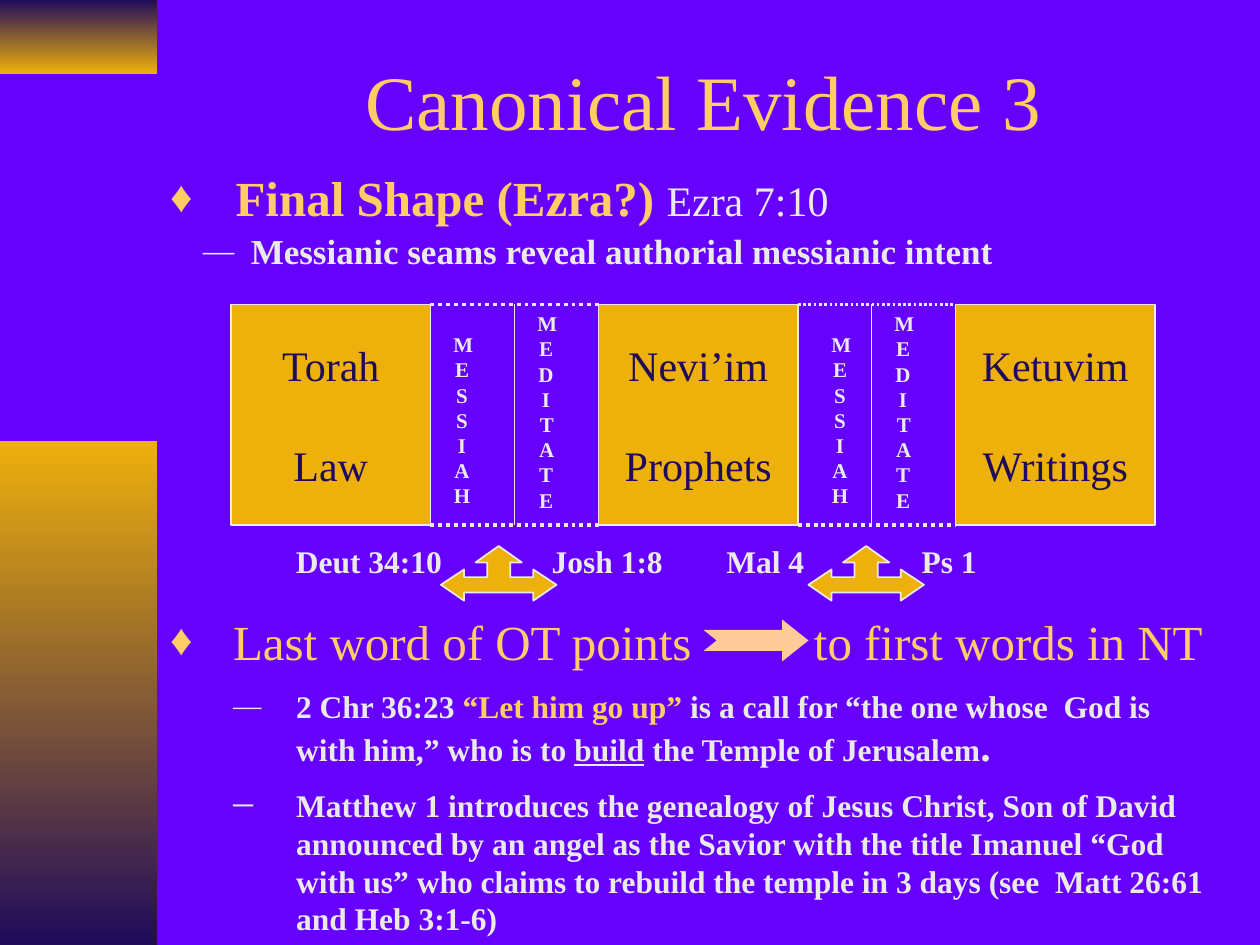
import pptx
import pptx.util
import pptx.dml.color
import pptx.enum.dml
import pptx.enum.shapes
import pptx.enum.text
import pptx.oxml
import pptx.oxml.ns

COLORS = {"back": "6600FF", "gold": "EEB00B", "navy": "200B5B",
          "light": "EAEAEA", "yellow": "FFCC66", "peach": "FFCC99"}
FONT = "Times New Roman"
CELL = 1 / 12  # grid of 120 columns by 90 rows
ALIGN = pptx.enum.text.PP_ALIGN
ANCHOR = pptx.enum.text.MSO_ANCHOR
SHAPE = pptx.enum.shapes.MSO_SHAPE
DASH = pptx.enum.dml.MSO_LINE.ROUND_DOT


def grid(*cells):
    return [pptx.util.Inches(c * CELL) for c in cells]


def rgb(name):
    return pptx.dml.color.RGBColor.from_string(COLORS[name])


def add_xml(parent, tag, **attrs):
    el = pptx.oxml.parse_xml(f"<a:{tag} {pptx.oxml.ns.nsdecls('a')}/>")
    for key, value in attrs.items():
        el.set(key, str(value))
    parent.append(el)
    return el


def add_runs(p, text, size=18, color="light", bold=False, underline=False):
    r = p.add_run()
    r.text = text
    r.font.name, r.font.size = FONT, pptx.util.Pt(size)
    r.font.bold, r.font.underline = bold, underline
    r.font.color.rgb = rgb(color)


def format_paragraph(p, align=ALIGN.LEFT, before=0, spacing=1.0, level=0,
                     bullet=None, bullet_color="light", margin=0, tab=None):
    """Lengths of margin and tab are in inches; a bullet hangs by bullet[1]."""
    p.alignment, p.level, p.line_spacing = align, level, spacing
    p.space_before = pptx.util.Pt(before)
    pPr = p._p.get_or_add_pPr()
    if bullet:
        char, hang = bullet
        pPr.set("marL", str(pptx.util.Inches(margin)))
        pPr.set("indent", str(-pptx.util.Inches(hang)))
        add_xml(add_xml(pPr, "buClr"), "srgbClr", val=COLORS[bullet_color])
        add_xml(pPr, "buSzPct", val=90000)
        add_xml(pPr, "buFont", typeface=FONT)
        add_xml(pPr, "buChar", char=char)
    if tab:
        add_xml(add_xml(pPr, "tabLst"), "tab", pos=pptx.util.Inches(tab), algn="l")


def add_text(sp, paragraphs, anchor=ANCHOR.TOP, wrap=True):
    """Fill a shape with (runs, paragraph format) pairs."""
    tf = sp.text_frame
    tf.word_wrap, tf.vertical_anchor = wrap, anchor
    tf.auto_size = pptx.enum.text.MSO_AUTO_SIZE.NONE
    for i, (runs, fmt) in enumerate(paragraphs):
        p = tf.add_paragraph() if i else tf.paragraphs[0]
        format_paragraph(p, **fmt)
        for text, style in runs:
            add_runs(p, text, **style)


def place(sp, box):
    sp.left, sp.top, sp.width, sp.height = grid(*box)


def style_shape(sp, fill, line=None):
    sp.shadow.inherit = False
    sp.fill.solid()
    sp.fill.fore_color.rgb = rgb(fill)
    if line:
        sp.line.color.rgb, sp.line.width = rgb(line), pptx.util.Pt(1)
    else:
        sp.line.fill.background()


def add_band(slide, box, top, bottom):
    sp = slide.shapes.add_shape(SHAPE.RECTANGLE, *grid(*box))
    sp.shadow.inherit = False
    sp.line.fill.background()
    sp.fill.gradient()
    sp.fill.gradient_angle = 270
    for stop, color in zip(sp.fill.gradient_stops, (top, bottom)):
        stop.color.rgb = rgb(color)


def add_line(slide, x1, y1, x2, y2, width=1, dash=None):
    ln = slide.shapes.add_connector(pptx.enum.shapes.MSO_CONNECTOR.STRAIGHT,
                                    *grid(x1, y1, x2, y2))
    ln.line.color.rgb, ln.line.width = rgb("light"), pptx.util.Pt(width)
    if dash:
        ln.line.dash_style = dash
    add_xml(ln._element.spPr, "effectLst")


def add_label(slide, box, text, **fmt):
    size = fmt.pop("size")
    sp = slide.shapes.add_textbox(*grid(*box))
    add_text(sp, [([(text, dict(size=size, bold=True))], fmt)])


def add_canon_part(slide, box, name, meaning):
    sp = slide.shapes.add_shape(SHAPE.RECTANGLE, *grid(*box))
    style_shape(sp, "gold", "light")
    style = dict(size=24, color="navy")
    add_text(sp, [([(name, style)], dict(align=ALIGN.CENTER)),
                  ([(meaning, style)], dict(align=ALIGN.CENTER, before=28))],
             anchor=ANCHOR.MIDDLE, wrap=False)


def add_seam(slide, box, divider, messiah, meditate, top_width):
    """Dotted frame between two canon parts; inner places are column offsets."""
    x, y, w, h = box
    add_line(slide, x, y, x + w, y, top_width, DASH)
    add_line(slide, x, y + h, x + w, y + h, 2.25, DASH)
    add_line(slide, x + divider, y, x + divider, y + h)
    for word, dx, dy in (("MESSIAH", messiah, 2), ("MEDITATE", meditate, 0)):
        add_label(slide, (x + dx, y + dy, 4, h - dy), word, size=12,
                  align=ALIGN.CENTER)


def add_three_way_arrow(slide, box):
    x, y, w, h = box
    half = [(0.5, 0), (0.3, 0.3), (0.4, 0.3), (0.4, 0.57), (0.2, 0.57),
            (0.2, 0.43), (0, 0.71), (0.2, 1), (0.2, 0.85)]
    shares = half + [(1 - a, b) for a, b in half[:0:-1]]
    points = [grid(x + a * w, y + b * h) for a, b in shares]
    builder = slide.shapes.build_freeform(*points[0])
    builder.add_line_segments(points[1:], close=True)
    style_shape(builder.convert_to_shape(), "gold", "light")


def add_canon_diagram(slide, box):
    x, y, w, h = box
    parts = [("Torah", "Law", 0), ("Nevi’im", "Prophets", 35),
             ("Ketuvim", "Writings", 69)]
    for name, meaning, dx in parts:
        add_canon_part(slide, (x + dx, y, 19, h), name, meaning)
    add_seam(slide, (x + 19, y, 16, h), 8, 1, 9, 2.25)
    add_seam(slide, (x + 54, y, 15, h), 7, 2, 8, 1.5)
    below = y + h + 1
    add_label(slide, (x + 5, below, 39, 5), "Deut 34:10\tJosh 1:8", size=18, tab=2.03)
    add_label(slide, (x + 46, below, 28, 5), "Mal 4\tPs 1", size=18, tab=1.55)
    for dx in (20, 55):
        add_three_way_arrow(slide, (x + dx, below + 1, 11, 5.2))


def fill_shape_list(body, box):
    place(body, box)
    add_text(body, [
        ([("Final Shape (Ezra?) ", dict(size=28, color="yellow", bold=True)),
          ("Ezra 7:10", dict(size=24))],
         dict(spacing=0.9, bullet=("♦", 0.52), bullet_color="yellow", margin=0.52)),
        ([("Messianic seams reveal authorial messianic intent",
           dict(size=20, bold=True))],
         dict(level=1, spacing=0.9, before=4, bullet=("—", 0.38), margin=0.64))])


def fill_last_word_list(slide, body, box):
    place(body, box)
    bold = dict(bold=True)
    add_text(body, [
        ([("Last word of OT points\tto first words in NT",
           dict(size=28, color="yellow"))],
         dict(bullet=("♦", 0.5), bullet_color="yellow", margin=0.5, tab=5.11)),
        ([("2 Chr 36:23 ", bold),
          ("“Let him go up”", dict(bold=True, color="yellow")),
          (" is a call for “the one whose  God is with him,” who is to ", bold),
          ("build", dict(bold=True, underline=True)),
          (" the Temple of Jerusalem", bold),
          (".", dict(bold=True, size=24))],
         dict(level=1, spacing=0.9, before=12, bullet=("—", 0.5), margin=1)),
        ([("Matthew 1 introduces the genealogy of Jesus Christ, Son of David "
           "announced by an angel as the Savior with the title Imanuel “God "
           "with us” who claims to rebuild the temple in 3 days (see  Matt 26:61 "
           "and Heb 3:1-6)", bold)],
         dict(level=1, before=9, bullet=("─", 0.5), margin=1))])
    x, y = box[:2]
    arrow = slide.shapes.add_shape(SHAPE.NOTCHED_RIGHT_ARROW,
                                   *grid(x + 52, y + 1.4, 10, 4))
    arrow.adjustments[0], arrow.adjustments[1] = 0.5, 0.63
    style_shape(arrow, "peach")


def main():
    prs = pptx.Presentation()
    prs.slide_width, prs.slide_height = grid(120, 90)
    slide = prs.slides.add_slide(prs.slide_layouts[3])  # title and two bodies
    slide.background.fill.solid()
    slide.background.fill.fore_color.rgb = rgb("back")
    title, upper, lower = slide.placeholders
    add_band(slide, (0, 0, 15, 7), "navy", "gold")
    add_band(slide, (0, 42, 15, 48), "gold", "navy")
    place(title, (16, 4, 102, 11))
    add_text(title, [([("Canonical Evidence 3", dict(size=44, color="yellow"))],
                      dict(align=ALIGN.CENTER))], anchor=ANCHOR.MIDDLE)
    fill_shape_list(upper, (15, 16, 100, 10.7))
    add_canon_diagram(slide, (22, 29, 88, 21))
    fill_last_word_list(slide, lower, (15, 57.6, 101, 32.4))
    prs.save("out.pptx")


if __name__ == "__main__":
    main()
